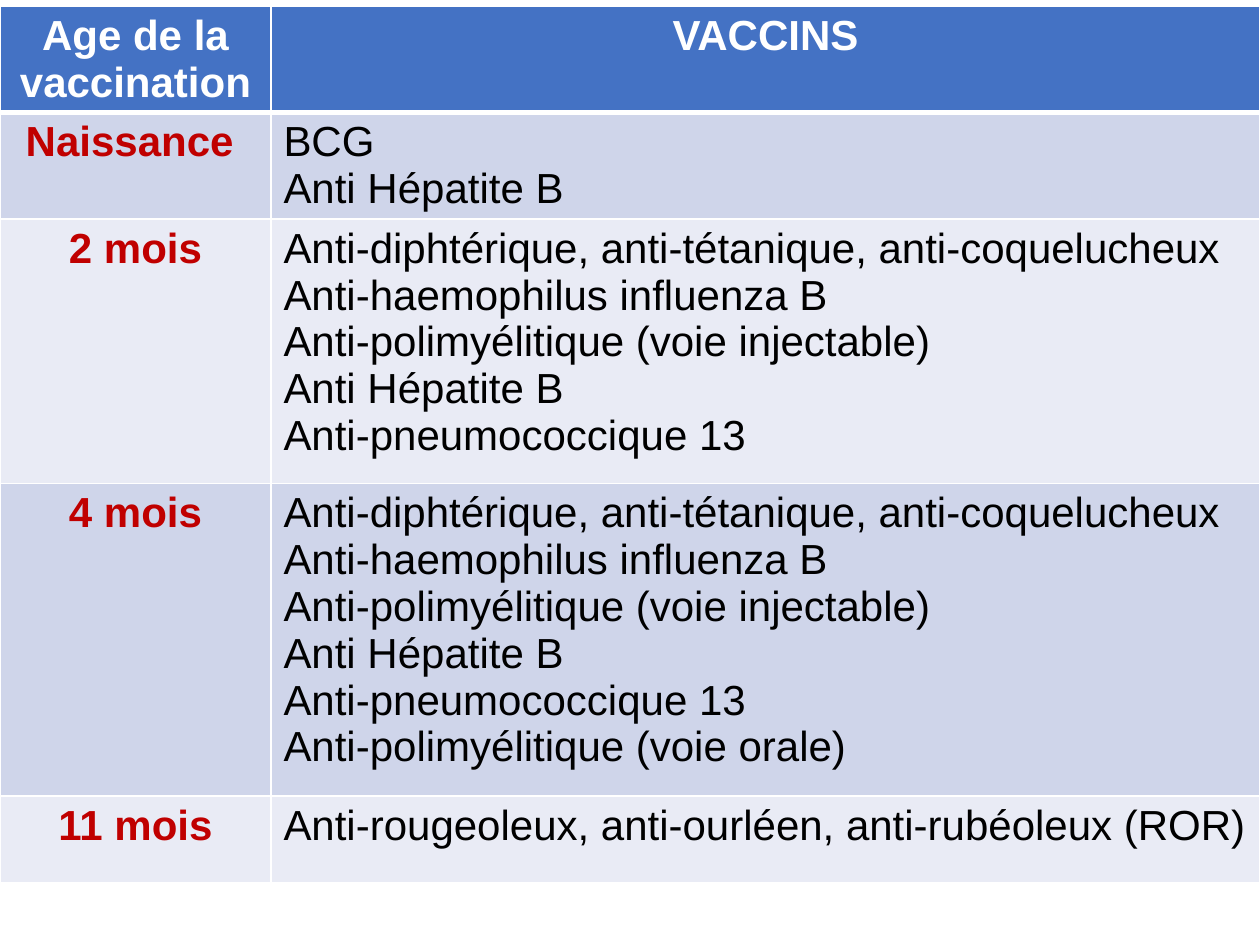
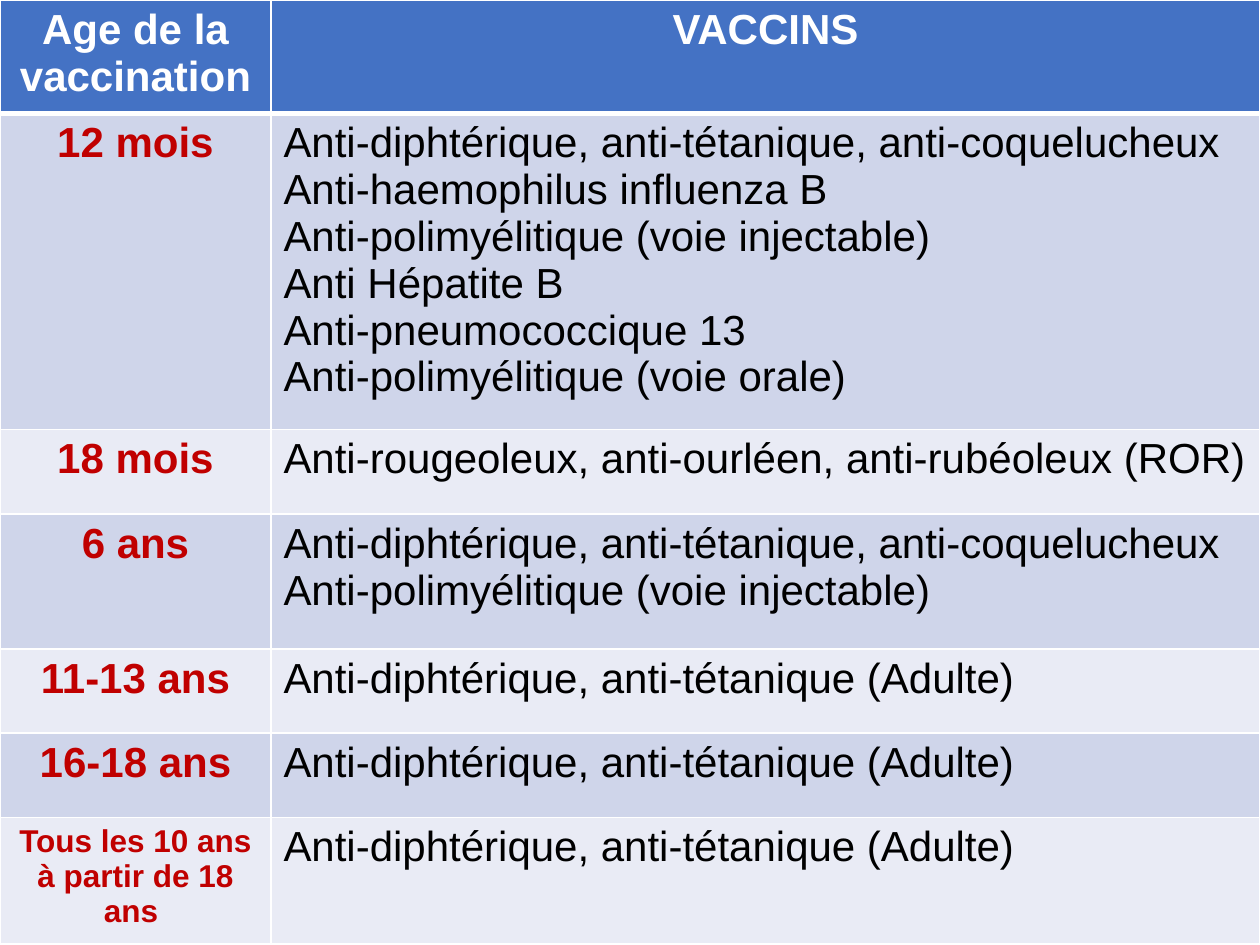
"""Build two slides with the vaccination schedule by age."""
from dataclasses import dataclass

import lxml.etree
import pptx
import pptx.dml.color
import pptx.enum.text
import pptx.oxml.ns
import pptx.presentation
import pptx.table
import pptx.util

Inches = pptx.util.Inches
Pt = pptx.util.Pt
ALIGN = pptx.enum.text.PP_ALIGN


@dataclass(frozen=True)
class Theme:
    font: str = "Arial"
    size: int = 24
    small_size: int = 18
    header_fill: str = "4472C4"
    band_fills: tuple[str, str] = ("CFD5EA", "E9EBF5")
    header_text: str = "FFFFFF"
    age_text: str = "C00000"
    vaccine_text: str = "000000"
    border: str = "FFFFFF"
    thin: float = 1
    thick: float = 3


THEME = Theme()


@dataclass(frozen=True)
class Visit:
    age: str
    vaccines: tuple[str, ...]
    height: float
    age_size: int = THEME.size


@dataclass(frozen=True)
class Schedule:
    top: float
    header_height: float
    visits: tuple[Visit, ...]


AGE_WIDTH = 2.15
VACCINE_WIDTH = 7.85
HEADINGS = ("Age de la vaccination", "VACCINS")

DTC = "Anti-diphtérique, anti-tétanique, anti-coquelucheux"
POLIO_INJECTED = "Anti-polimyélitique (voie injectable)"
POLIO_ORAL = "Anti-polimyélitique (voie orale)"
HEPATITIS = "Anti Hépatite B"
ROR = "Anti-rougeoleux, anti-ourléen, anti-rubéoleux (ROR)"
ADULT = "Anti-diphtérique, anti-tétanique (Adulte)"
INFANT = (DTC, "Anti-haemophilus influenza B", POLIO_INJECTED, HEPATITIS,
          "Anti-pneumococcique 13")

SCHEDULES = (
    Schedule(0.05, 0.84, (
        Visit("Naissance ", ("BCG", HEPATITIS), 0.84),
        Visit("2 mois", INFANT, 2.1),
        Visit("4 mois", (*INFANT, POLIO_ORAL), 2.48),
        Visit("11 mois", (ROR,), 0.69),
    )),
    Schedule(0, 0.9, (
        Visit("12 mois", (*INFANT, POLIO_ORAL), 2.51),
        Visit("18 mois", (ROR,), 0.67),
        Visit("6 ans", (DTC, POLIO_INJECTED), 1.07),
        Visit("11-13 ans", (ADULT,), 0.67),
        Visit("16-18 ans", (ADULT,), 0.67),
        Visit("Tous les 10 ans à partir de 18 ans ", (ADULT,), 1,
              THEME.small_size),
    )),
)


def write_text(cell: pptx.table._Cell, *lines: str, color: str,
               size: int = THEME.size, bold: bool = True,
               align: ALIGN = ALIGN.CENTER) -> None:
    """Write each line as a formatted paragraph of the cell."""
    frame = cell.text_frame
    for index, line in enumerate(lines):
        paragraph = frame.add_paragraph() if index else frame.paragraphs[0]
        paragraph.alignment = align
        run = paragraph.add_run()
        run.text = line
        run.font.name = THEME.font
        run.font.size = Pt(size)
        run.font.bold = bold
        run.font.color.rgb = pptx.dml.color.RGBColor.from_string(color)


def style_cell(cell: pptx.table._Cell, fill: str, top: float = THEME.thin,
               bottom: float = THEME.thin) -> None:
    """Set the borders and the fill of a cell."""
    qn = pptx.oxml.ns.qn
    properties = cell._tc.get_or_add_tcPr()
    widths = {"a:lnL": THEME.thin, "a:lnR": THEME.thin,
              "a:lnT": top, "a:lnB": bottom}
    for tag, width in widths.items():
        line = lxml.etree.SubElement(properties, qn(tag), w=str(Pt(width)))
        solid = lxml.etree.SubElement(line, qn("a:solidFill"))
        lxml.etree.SubElement(solid, qn("a:srgbClr"), val=THEME.border)
    cell.fill.solid()
    cell.fill.fore_color.rgb = pptx.dml.color.RGBColor.from_string(fill)


def add_schedule(deck: pptx.presentation.Presentation,
                 schedule: Schedule) -> None:
    """Add a slide with the table of one schedule."""
    slide = deck.slides.add_slide(deck.slide_layouts[6])
    heights = [schedule.header_height, *(v.height for v in schedule.visits)]
    table = slide.shapes.add_table(
        len(heights), len(HEADINGS), Inches(0), Inches(schedule.top),
        Inches(AGE_WIDTH + VACCINE_WIDTH), Inches(sum(heights))).table
    for column, width in zip(table.columns, (AGE_WIDTH, VACCINE_WIDTH)):
        column.width = Inches(width)
    for row, height in zip(table.rows, heights):
        row.height = Inches(height)

    for column, heading in enumerate(HEADINGS):
        cell = table.cell(0, column)
        style_cell(cell, THEME.header_fill, bottom=THEME.thick)
        write_text(cell, heading, color=THEME.header_text)

    for index, visit in enumerate(schedule.visits):
        age, vaccines = table.cell(index + 1, 0), table.cell(index + 1, 1)
        for cell in (age, vaccines):
            style_cell(cell, THEME.band_fills[index % 2],
                       top=THEME.thin if index else THEME.thick)
        write_text(age, visit.age, color=THEME.age_text, size=visit.age_size)
        write_text(vaccines, *visit.vaccines, color=THEME.vaccine_text,
                   bold=False, align=ALIGN.LEFT)


def main() -> None:
    """Build and save the deck."""
    deck = pptx.Presentation()
    deck.slide_width = Inches(10)
    deck.slide_height = Inches(7.5)
    for schedule in SCHEDULES:
        add_schedule(deck, schedule)
    deck.save("out.pptx")


if __name__ == "__main__":
    main()
